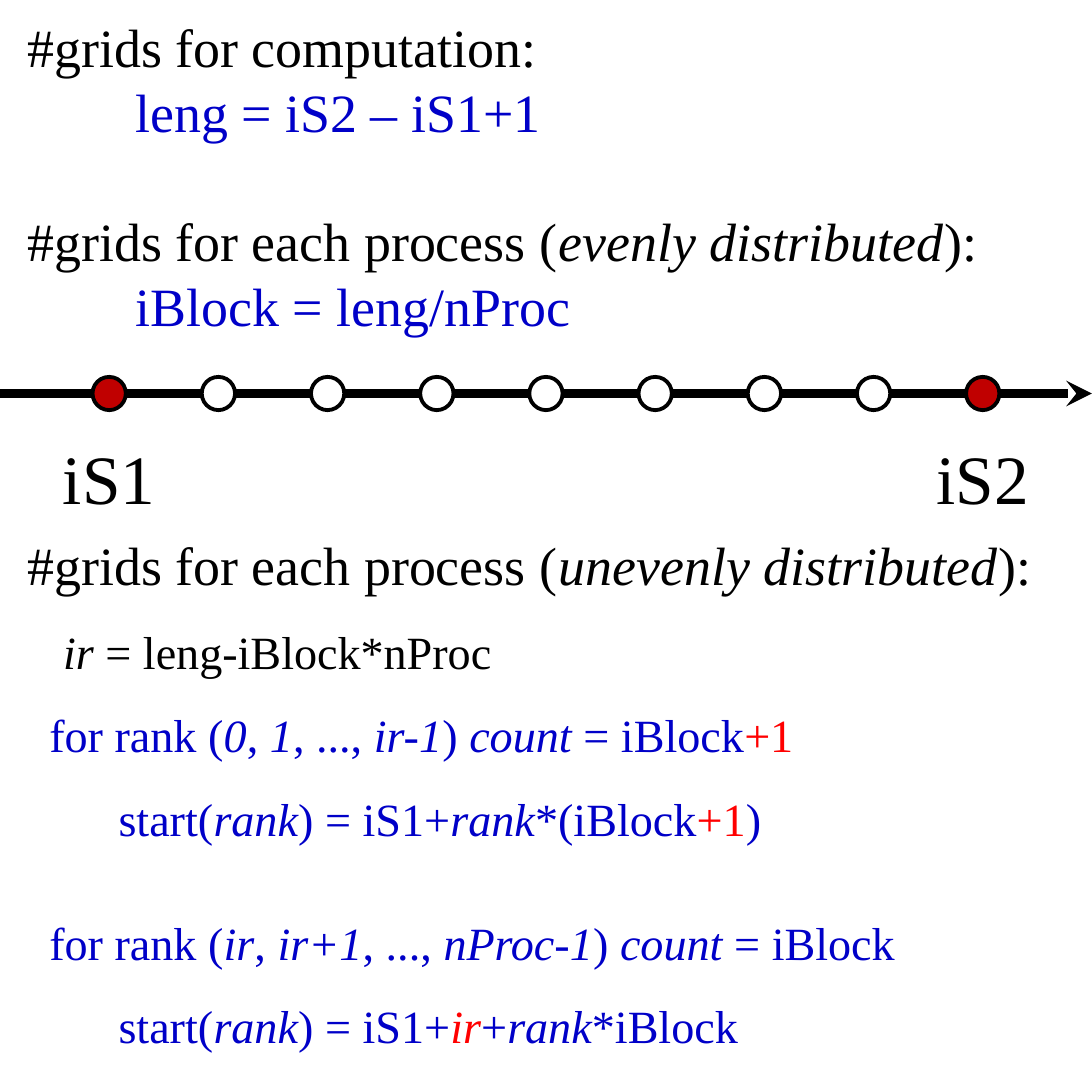
from lxml import etree
from pptx import Presentation
from pptx.dml.color import RGBColor
from pptx.enum.shapes import MSO_CONNECTOR, MSO_SHAPE
from pptx.enum.text import PP_ALIGN
from pptx.oxml.ns import qn
from pptx.util import Inches, Pt

STRAIGHT, OVAL = MSO_CONNECTOR.STRAIGHT, MSO_SHAPE.OVAL
LEFT, CENTER = PP_ALIGN.LEFT, PP_ALIGN.CENTER
FONT = "Times New Roman"
COLORS = {"black": "000000", "white": "FFFFFF", "blue": "0000C8",
          "red": "FF0000", "end": "C00000"}

# Content: _italic_ and |red| switch the run format
HEADING = dict(size=14, color="black")
FORMULA = dict(size=14, color="blue", indent=0.39)
REMAINDER = dict(size=12, color="black", indent=0.13, spacing=1.5)
RANKS = dict(size=12, color="blue", indent=0.08, spacing=1.5)
START = dict(size=12, color="blue", indent=0.33, spacing=1.5)
LINES = [  # text, format, space before in points
    ("#grids for computation:", HEADING, 0),
    ("leng = iS2 – iS1+1", FORMULA, 0),
    ("#grids for each process (_evenly distributed_):", HEADING, 16.8),
    ("iBlock = leng/nProc", FORMULA, 0),
    ("#grids for each process (_unevenly distributed_):", HEADING, 50.4),
    ("_ir_ = leng-iBlock*nProc", REMAINDER, 0),
    ("for rank (_0_, _1_, ..., _ir-1_) _count_ = iBlock|+1|", RANKS, 0),
    ("start(_rank_) = iS1+_rank_*(iBlock|+1|)", START, 0),
    ("for rank (_ir_, _ir+1_, ..., _nProc-1_) _count_ = iBlock", RANKS, 10.8),
    ("start(_rank_) = iS1+|_ir_|+_rank_*iBlock", START, 0),
]
END_LABELS = {1: "iS1", 9: "iS2"}  # grid point number: label

SIDE = 3.94
GRID_POINTS = 9
STEP = SIDE / (GRID_POINTS + 1)
AXIS_Y, DOT = 1.42, 0.12
LABEL_TOP, LABEL_WIDTH, LABEL_HEIGHT = 1.52, 0.55, 0.4


def rgb(name):
    return RGBColor.from_string(COLORS[name])


def add_box(left, top, width, height):
    box = slide.shapes.add_textbox(Inches(left), Inches(top), Inches(width), Inches(height))
    box.text_frame.word_wrap = True
    return box.text_frame


def write(paragraph, text, size=14, color="black", indent=0, spacing=1.0,
          before=0, align=LEFT):
    paragraph.alignment = align
    paragraph.line_spacing = spacing
    paragraph.space_before = Pt(before)
    paragraph._p.get_or_add_pPr().set("marL", str(Inches(indent)))
    red = False
    for part_number, part in enumerate(text.split("_")):
        for piece_number, piece in enumerate(part.split("|")):
            if piece_number:
                red = not red
            if piece:
                run = paragraph.add_run()
                run.text = piece
                run.font.name = FONT
                run.font.size = Pt(size)
                run.font.italic = part_number % 2 == 1
                run.font.color.rgb = rgb("red" if red else color)


presentation = Presentation()
presentation.slide_width = presentation.slide_height = Inches(SIDE)
slide = presentation.slides.add_slide(presentation.slide_layouts[6])

# Grid axis with arrowhead
axis = slide.shapes.add_connector(STRAIGHT, 0, Inches(AXIS_Y), Inches(SIDE), Inches(AXIS_Y))
axis.line.color.rgb = rgb("black")
axis.line.width = Pt(2.25)
etree.SubElement(axis.line._get_or_add_ln(), qn("a:tailEnd"), type="stealth")
etree.SubElement(axis._element.spPr, qn("a:effectLst"))

# Grid points, the first and last ones labelled
for number in range(1, GRID_POINTS + 1):
    center = STEP * number
    dot = slide.shapes.add_shape(OVAL, Inches(center - DOT / 2), Inches(AXIS_Y - DOT / 2),
                                 Inches(DOT), Inches(DOT))
    dot.shadow.inherit = False
    dot.fill.solid()
    dot.fill.fore_color.rgb = rgb("end" if number in END_LABELS else "white")
    dot.line.color.rgb = rgb("black")
    dot.line.width = Pt(1)
    if number in END_LABELS:
        label = add_box(center - LABEL_WIDTH / 2, LABEL_TOP, LABEL_WIDTH, LABEL_HEIGHT)
        write(label.paragraphs[0], END_LABELS[number], size=18, align=CENTER)

# Formulas
frame = add_box(0, 0, SIDE, 3.85)
for line_number, (text, style, before) in enumerate(LINES):
    paragraph = frame.add_paragraph() if line_number else frame.paragraphs[0]
    write(paragraph, text, before=before, **style)

presentation.save("out.pptx")
